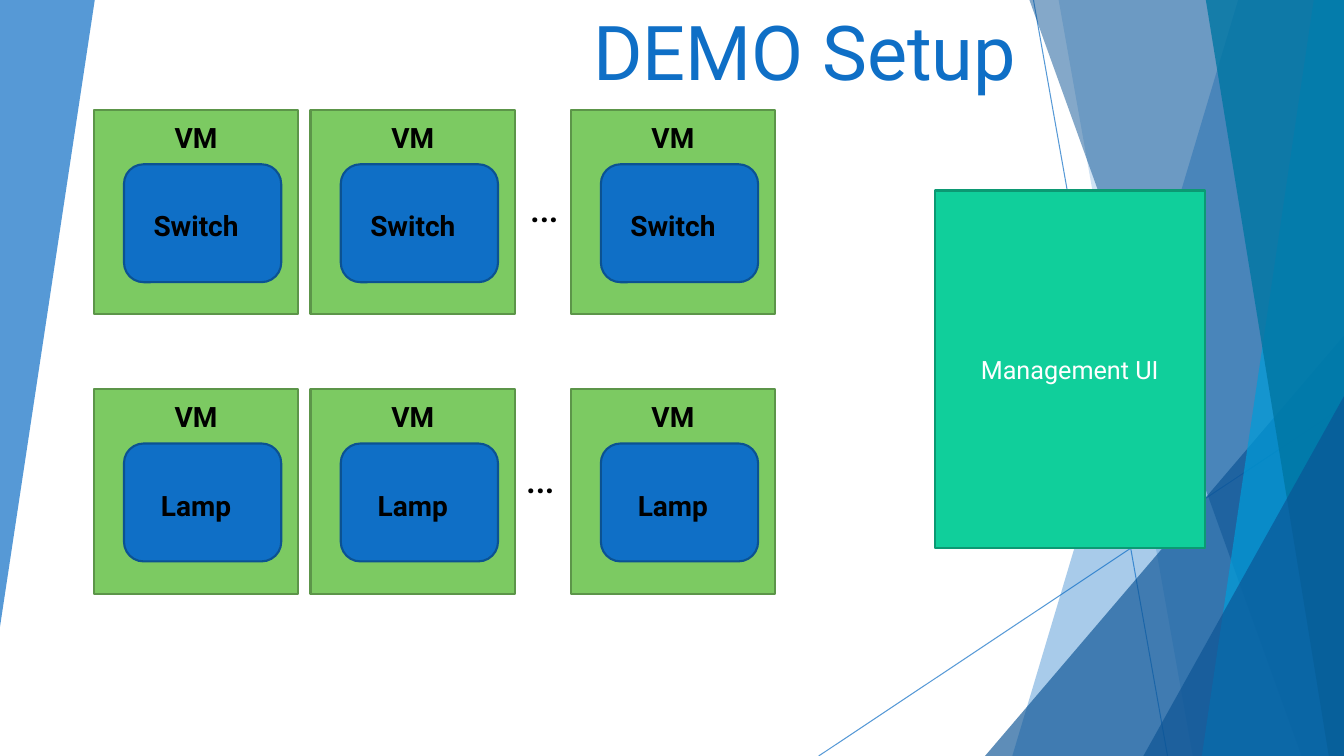
from lxml.etree import SubElement
from pptx import Presentation
from pptx.dml.color import RGBColor
from pptx.enum.shapes import MSO_CONNECTOR, MSO_SHAPE
from pptx.enum.text import MSO_ANCHOR, MSO_AUTO_SIZE, PP_ALIGN
from pptx.oxml.ns import qn
from pptx.util import Pt

PX = 9144  # EMU per px, 100 px to the inch
SLIDE_WIDTH, SLIDE_HEIGHT = 1333, 750
FONT = "Roboto"
BLUE, NAVY, CYAN, TEAL = "0F6FC6", "0B5394", "009DD9", "0076A3"


def px(*lengths):
    return [length * PX for length in lengths]


def paint(color_format, color, opacity=100):
    """Set a solid fill, or a line's fill, with opacity in percent."""
    color_format.solid()
    color_format.fore_color.rgb = RGBColor.from_string(color)
    if opacity < 100:
        rgb = color_format._xPr.find(qn("a:solidFill"))[0]
        SubElement(rgb, qn("a:alpha"), val=str(opacity * 1000))


def write(frame, text, size, color, align, anchor=MSO_ANCHOR.MIDDLE, bold=False):
    frame.text = text
    frame.word_wrap = True
    frame.vertical_anchor = anchor
    paragraph = frame.paragraphs[0]
    paragraph.alignment = align
    font = paragraph.font
    font.name, font.size, font.bold = FONT, Pt(size), bold
    font.color.rgb = RGBColor.from_string(color)


def add_block(slide, preset, box, fill, outline=None, opacity=100):
    block = slide.shapes.add_shape(preset, *px(*box))
    block.shadow.inherit = False
    paint(block.fill, fill, opacity)
    if outline:
        paint(block.line.fill, outline)
        block.line.width = Pt(1.5)
    else:
        block.line.fill.background()
    return block


def add_label(slide, box, text, size, align=PP_ALIGN.CENTER, bold=True):
    label = slide.shapes.add_textbox(*px(*box))
    write(label.text_frame, text, size, "000000", align, bold=bold)
    label.text_frame.auto_size = MSO_AUTO_SIZE.SHAPE_TO_FIT_TEXT


def add_shard(slide, corners, color, opacity):
    builder = slide.shapes.build_freeform(*corners[0], scale=PX)
    builder.add_line_segments(corners[1:])
    shard = builder.convert_to_shape()
    shard.shadow.inherit = False
    paint(shard.fill, color, opacity)
    shard.line.fill.background()


def add_corner_triangle(slide, left, top, color, opacity):
    """Right triangle that fills the lower right corner of the slide."""
    box = (left, top, SLIDE_WIDTH - left, SLIDE_HEIGHT - top)
    triangle = add_block(slide, MSO_SHAPE.ISOSCELES_TRIANGLE, box, color, opacity=opacity)
    triangle.adjustments[0] = 1


def add_ray(slide, start, end):
    ray = slide.shapes.add_connector(MSO_CONNECTOR.STRAIGHT, *px(*start, *end))
    paint(ray.line.fill, BLUE, 70)
    ray.line.width = Pt(0.75)
    SubElement(ray._element.spPr, qn("a:effectLst"))


def add_backdrop(slide):
    def right_shard(top_left, bottom_left, color, opacity):
        corners = [(top_left, 0), (SLIDE_WIDTH, 0),
                   (SLIDE_WIDTH, SLIDE_HEIGHT), (bottom_left, SLIDE_HEIGHT)]
        add_shard(slide, corners, color, opacity)

    add_shard(slide, [(0, 0), (94, 0), (0, 622)], BLUE, 70)
    add_ray(slide, (1025, 0), (1158, SLIDE_HEIGHT))
    add_ray(slide, (SLIDE_WIDTH, 403), (812, SLIDE_HEIGHT))
    right_shard(1228, 1004, BLUE, 36)
    right_shard(1050, 1183, BLUE, 20)
    add_corner_triangle(slide, 977, 333, NAVY, 66)
    right_shard(1021, 1291, NAVY, 50)
    right_shard(1303, 1192, CYAN, 70)
    right_shard(1196, 1318, TEAL, 80)
    add_corner_triangle(slide, 1134, 393, NAVY, 66)


def add_title(slide, box):
    title = slide.shapes.title
    title.left, title.top, title.width, title.height = px(*box)
    write(title.text_frame, "DEMO Setup", 54, BLUE, PP_ALIGN.RIGHT, MSO_ANCHOR.BOTTOM)
    title.text_frame.auto_size = MSO_AUTO_SIZE.NONE


def add_vm(slide, left, top, device, side=203):
    add_block(slide, MSO_SHAPE.RECTANGLE, (left, top, side, side), "7CCA62", "5C9549")
    add_block(slide, MSO_SHAPE.ROUNDED_RECTANGLE, (left + 30, top + 54, 156, 117),
              BLUE, "0B5292")
    add_label(slide, (left, top + 5, side, 44), "VM", 20)
    add_label(slide, (left, top + 93, side, 44), device, 20)


def add_vm_row(slide, top, device, ellipsis_box):
    for left in (93, 308, 566):
        add_vm(slide, left, top, device)
    add_label(slide, ellipsis_box, "…", 32, PP_ALIGN.LEFT, bold=False)


def add_management_ui(slide, box):
    panel = add_block(slide, MSO_SHAPE.RECTANGLE, box, "10CF9B", "0C9973")
    write(panel.text_frame, "Management UI", 18, "FFFFFF", PP_ALIGN.CENTER)


def main():
    deck = Presentation()
    deck.slide_width, deck.slide_height = px(SLIDE_WIDTH, SLIDE_HEIGHT)
    slide = deck.slides.add_slide(deck.slide_layouts[5])
    add_backdrop(slide)
    add_title(slide, (131, 13, 887, 87))
    add_vm_row(slide, 109, "Switch", (515, 171, 50, 64))
    add_vm_row(slide, 386, "Lamp", (511, 440, 64, 64))
    add_management_ui(slide, (927, 189, 268, 355))
    deck.save("out.pptx")


if __name__ == "__main__":
    main()
